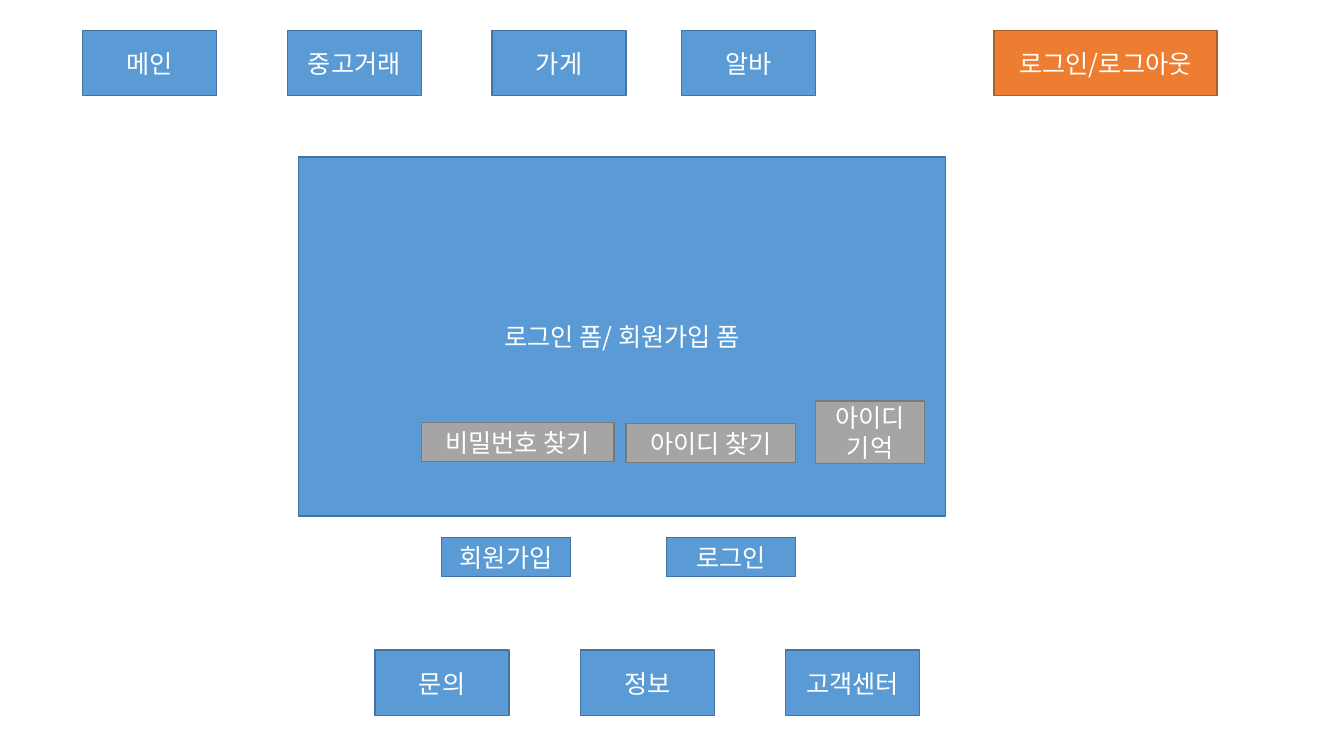
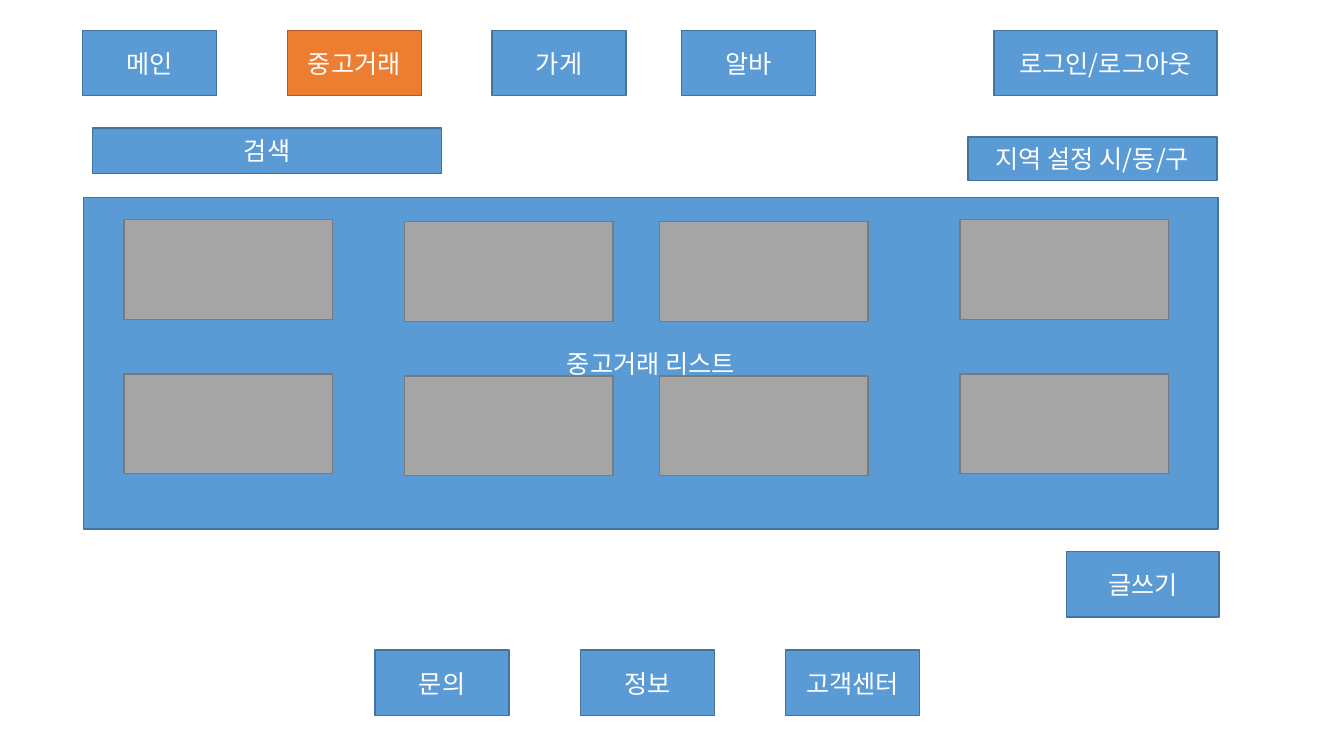
from dataclasses import dataclass
from itertools import product

from lxml.etree import SubElement
from pptx import Presentation
from pptx.dml.color import RGBColor
from pptx.enum.shapes import MSO_SHAPE
from pptx.enum.text import MSO_ANCHOR, PP_ALIGN
from pptx.oxml.ns import qn
from pptx.util import Inches, Pt


@dataclass(frozen=True)
class Theme:
    """Colours as fill and line pairs, with the type and line sizes."""
    blue: tuple = ("5B9BD5", "43739E")
    orange: tuple = ("ED7D31", "AF5C24")
    gray: tuple = ("A5A5A5", "7A7A7A")
    text: str = "FFFFFF"
    font: str = "Noto Sans CJK KR"
    size: int = 18
    edge: int = 1


THEME = Theme()


def write(frame, text, size=THEME.size, color=THEME.text, font=THEME.font,
          align=PP_ALIGN.CENTER, anchor=MSO_ANCHOR.MIDDLE):
    """Put formatted text into a frame, one paragraph per line."""
    frame.text = text
    frame.word_wrap = True
    frame.vertical_anchor = anchor
    for para in frame.paragraphs:
        para.alignment = align
        for run in para.runs:
            run.font.size = Pt(size)
            run.font.name = font
            run.font.color.rgb = RGBColor.from_string(color)
            SubElement(run.font._element, qn("a:ea")).set("typeface", font)


class Deck:
    """Holds the theme, the presentation and the current slide."""

    def __init__(self, theme):
        """Open an empty wide presentation."""
        self.theme = theme
        self.show = Presentation()
        self.show.slide_width = Inches(13.33)
        self.show.slide_height = Inches(7.5)
        self.slide = None

    def box(self, left, top, width, height, text="", tone=None):
        """Draw a filled rectangle with an optional label."""
        fill, line = tone or self.theme.blue
        shape = self.slide.shapes.add_shape(
            MSO_SHAPE.RECTANGLE, Inches(left), Inches(top), Inches(width), Inches(height))
        shape.shadow.inherit = False
        shape.fill.solid()
        shape.fill.fore_color.rgb = RGBColor.from_string(fill)
        shape.line.color.rgb = RGBColor.from_string(line)
        shape.line.width = Pt(self.theme.edge)
        if text:
            write(shape.text_frame, text)

    def row(self, top, height, items, tone=None):
        """Draw boxes of one height from (left, width, text) items."""
        for left, width, text in items:
            self.box(left, top, width, height, text, tone)

    def page(self, active):
        """Start a slide with its top menu and footer buttons."""
        self.slide = self.show.slides.add_slide(self.show.slide_layouts[6])
        menu = ((0.82, 1.33, "메인"), (2.85, 1.33, "중고거래"), (4.88, 1.33, "가게"),
                (6.76, 1.33, "알바"), (9.86, 2.21, "로그인/로그아웃"))
        for left, width, text in menu:
            tone = self.theme.orange if text == active else self.theme.blue
            self.box(left, 0.3, width, 0.65, text, tone)
        foot = ("문의", "정보", "고객센터")
        self.row(6.45, 0.65, [(3.72 + 2.035 * i, 1.33, text) for i, text in enumerate(foot)])


def login(deck):
    """Build the login and sign-up page."""
    gray = deck.theme.gray
    deck.page("로그인/로그아웃")
    deck.box(2.96, 1.56, 6.42, 3.56, "로그인 폼/ 회원가입 폼")
    deck.row(5.33, 0.39, ((4.38, 1.28, "회원가입"), (6.61, 1.28, "로그인")))
    deck.box(4.18, 4.19, 1.91, 0.39, "비밀번호 찾기", gray)
    deck.box(6.21, 4.2, 1.68, 0.39, "아이디 찾기", gray)
    deck.box(8.09, 3.98, 1.08, 0.62, "아이디\n기억", gray)


def market(deck):
    """Build the second-hand market page."""
    deck.page("중고거래")
    deck.box(0.83, 1.96, 11.25, 3.29, "중고거래 리스트")
    deck.box(10.58, 5.47, 1.51, 0.65, "글쓰기")
    cols = ((1.23, 2.18), (4.01, 2.2), (6.54, 2.2), (9.52, 2.18))
    for (left, top), drop in product(cols, (0, 1.53)):
        deck.box(left, top + drop, 2.07, 0.99, tone=deck.theme.gray)
    deck.box(9.6, 1.36, 2.47, 0.43, "지역 설정 시/동/구")
    deck.box(0.92, 1.27, 3.46, 0.45, "검색")


deck = Deck(THEME)
login(deck)
market(deck)
deck.show.save("out.pptx")
